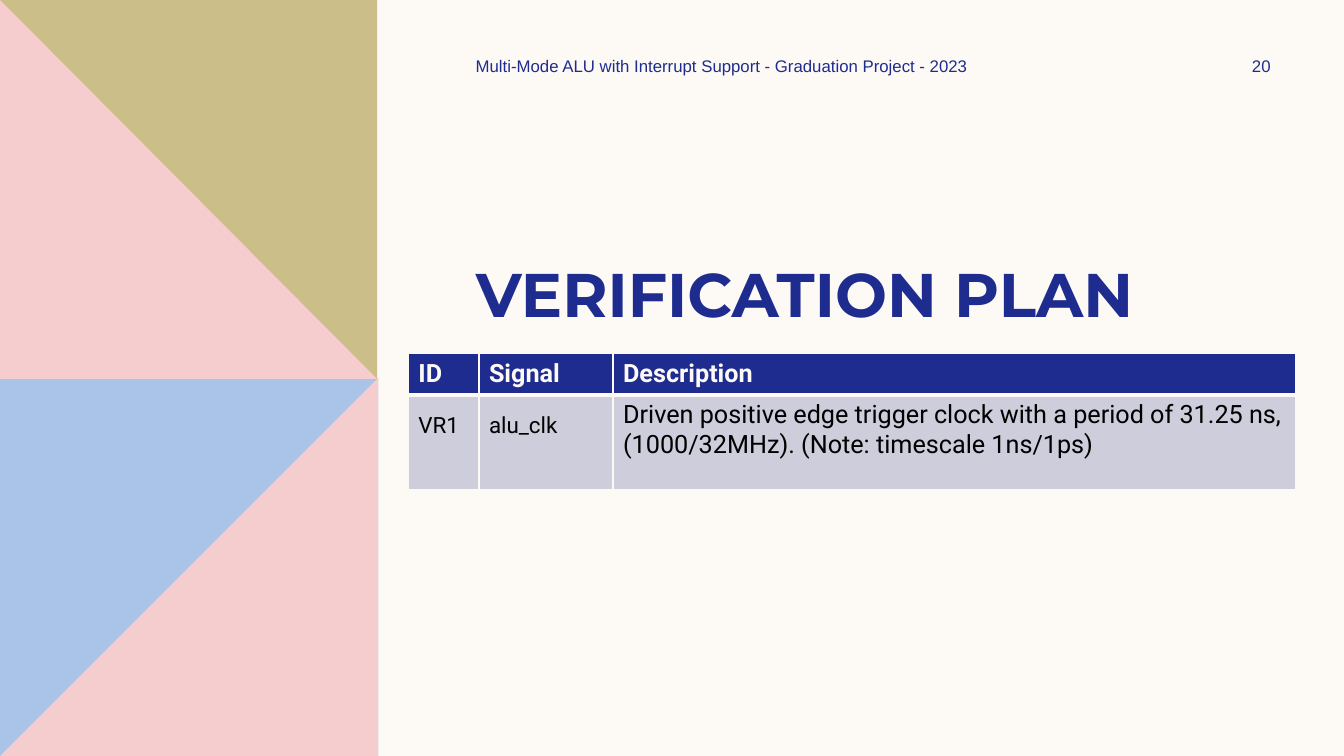
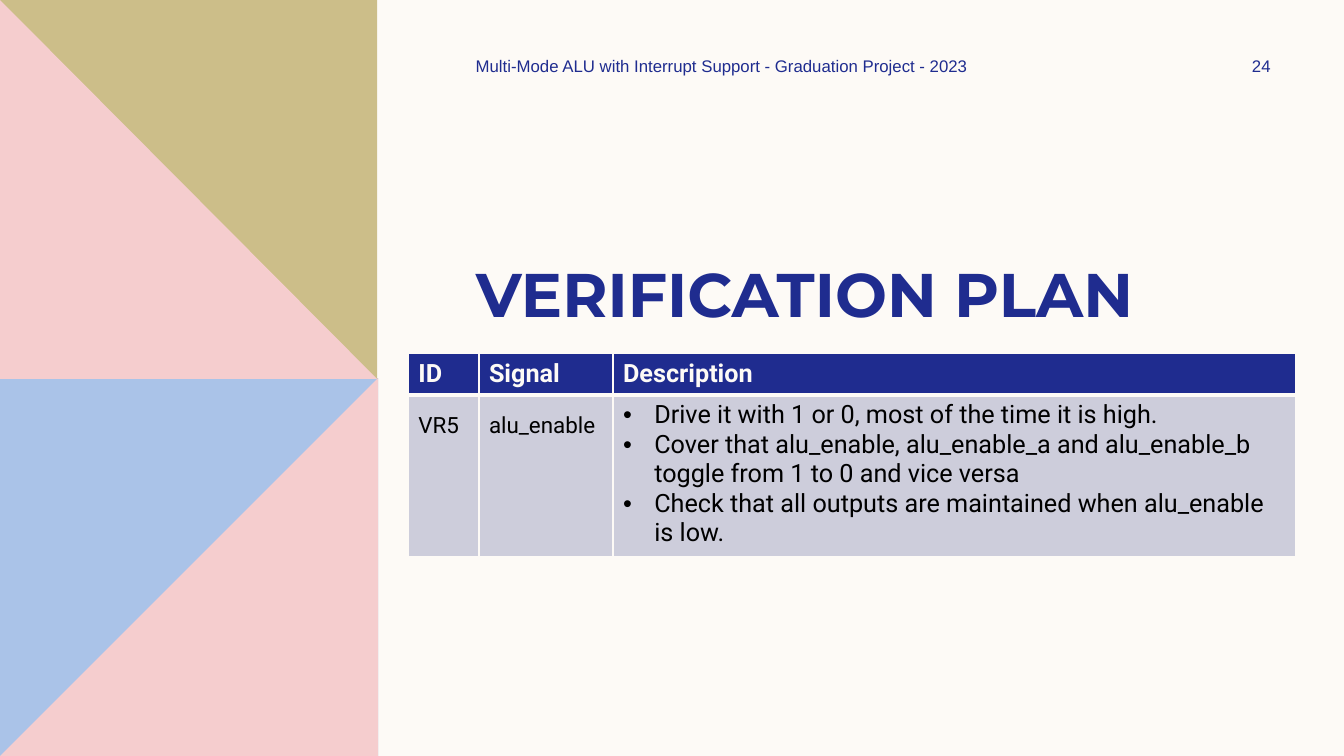
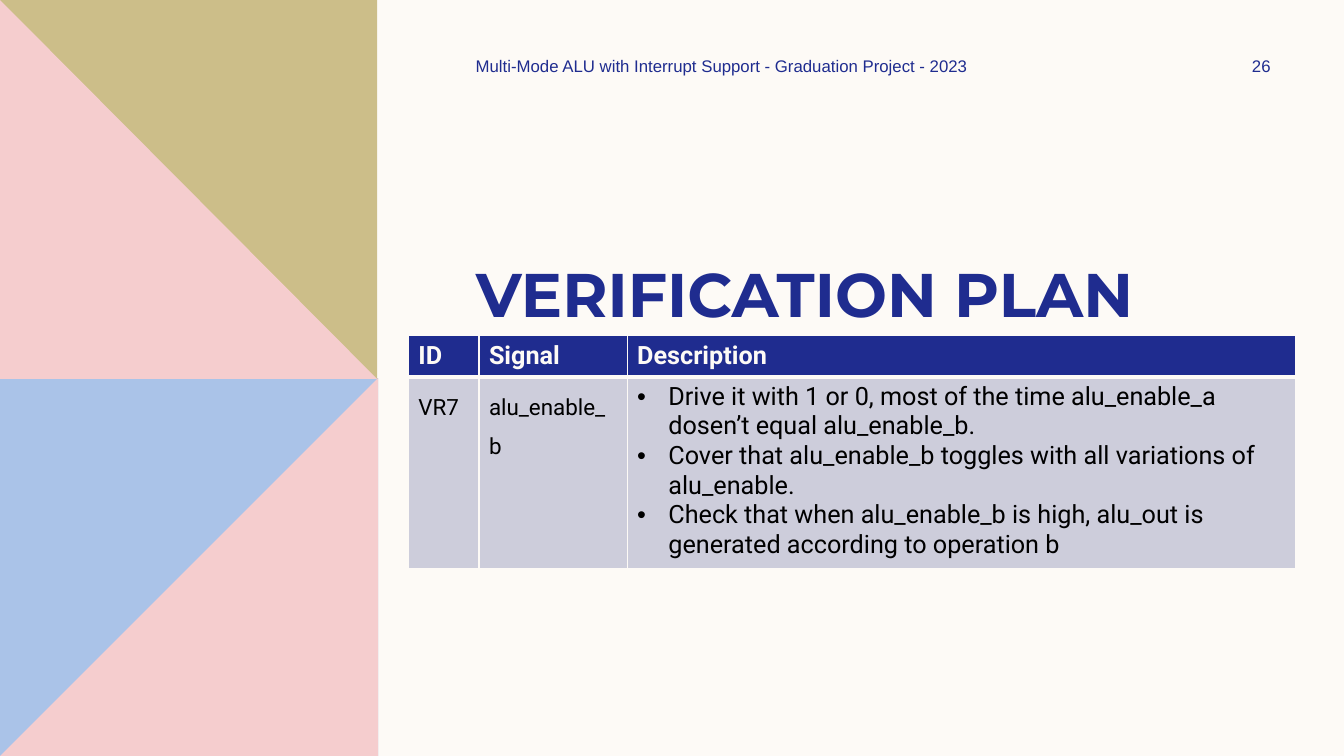
from lxml import etree
from pptx import Presentation
from pptx import util as u
from pptx.dml.color import RGBColor
from pptx.enum import shapes, text
from pptx.oxml.ns import qn

COLORS = {
    "paper": "FDFAF6",
    "navy": "1F2C8F",
    "blue": "AAC3E8",
    "pink": "F5CDCE",
    "olive": "CCBE89",
    "cell": "CDCDDB",
    "ink": "000000",
}
STYLES = {
    "title": {"name": "Montserrat", "size": u.Pt(44), "bold": True, "color": "navy"},
    "footer": {"name": "Arial", "size": u.Pt(12), "bold": False, "color": "navy"},
    "header": {"name": "Roboto", "size": u.Pt(18), "bold": True, "color": "paper"},
    "label": {"name": "Roboto", "size": u.Pt(16), "bold": False, "color": "ink"},
    "body": {"name": "Roboto", "size": u.Pt(18), "bold": False, "color": "ink"},
}
FOOTER = "Multi-Mode ALU with Interrupt Support - Graduation Project - 2023"
HEADERS = ["ID", "Signal", "Description"]
TABLE_WIDTH = 8.8
ID_WIDTH = 0.7
HEADER_HEIGHT = 0.41


class Deck:
    def __init__(self):
        self.prs = Presentation()
        self.prs.slide_width = u.Inches(13.33)
        self.prs.slide_height = u.Inches(7.5)
        self.fill(self.prs.slide_master.background, "paper")
        self.s = None

    def fill(self, target, color):
        target.fill.solid()
        target.fill.fore_color.rgb = RGBColor.from_string(COLORS[color])

    def add_text(self, p, words, style):
        r = p.add_run()
        r.text = words
        for key, value in STYLES[style].items():
            if key == "color":
                r.font.color.rgb = RGBColor.from_string(COLORS[value])
            else:
                setattr(r.font, key, value)

    def finish(self, sp, color):
        self.fill(sp, color)
        sp.line.fill.background()
        sp.shadow.inherit = False

    def rectangle(self, box, color):
        sp = self.s.shapes.add_shape(shapes.MSO_SHAPE.RECTANGLE, *map(u.Inches, box))
        self.finish(sp, color)

    def triangle(self, points, color):
        start, *rest = [(u.Inches(x), u.Inches(y)) for x, y in points]
        builder = self.s.shapes.build_freeform(*start)
        builder.add_line_segments(rest, close=True)
        self.finish(builder.convert_to_shape(), color)

    def textbox(self, box, words, align):
        tf = self.s.shapes.add_textbox(*map(u.Inches, box)).text_frame
        tf.word_wrap = True
        tf.vertical_anchor = text.MSO_ANCHOR.MIDDLE
        p = tf.paragraphs[0]
        p.alignment = align
        self.add_text(p, words, "footer")

    def title(self, words):
        sp = self.s.shapes.title
        sp.left, sp.top, sp.width, sp.height = map(u.Inches, (4.62, 2.49, 8.81, 0.84))
        tf = sp.text_frame
        tf.auto_size = text.MSO_AUTO_SIZE.NONE
        tf.vertical_anchor = text.MSO_ANCHOR.MIDDLE
        p = tf.paragraphs[0]
        p.alignment = text.PP_ALIGN.LEFT
        self.add_text(p, words, "title")

    def slide(self, number):
        self.s = self.prs.slides.add_slide(self.prs.slide_layouts[5])
        self.rectangle((0, 3.75, 3.75, 3.75), "blue")
        self.triangle([(3.75, 3.75), (3.75, 7.5), (0, 7.5)], "pink")
        self.rectangle((0, 0, 3.74, 3.76), "olive")
        self.triangle([(0, 0), (3.74, 3.76), (0, 3.76)], "pink")
        self.title("VERIFICATION PLAN")
        self.textbox((4.62, 0.5, 6, 0.3), FOOTER, text.PP_ALIGN.LEFT)
        self.textbox((11.97, 0.5, 1.08, 0.3), str(number), text.PP_ALIGN.CENTER)

    def borders(self, cell, widths):
        tcPr = cell._tc.get_or_add_tcPr()
        for side, width in widths.items():
            ln = etree.SubElement(tcPr, qn("a:ln" + side), w=str(u.Pt(width)))
            solid = etree.SubElement(ln, qn("a:solidFill"))
            etree.SubElement(solid, qn("a:srgbClr"), val=COLORS["paper"])

    def bullet(self, p):
        pPr = p._p.get_or_add_pPr()
        pPr.set("marL", str(u.Inches(0.31)))
        pPr.set("indent", str(u.Inches(-0.31)))
        etree.SubElement(pPr, qn("a:buFont"), typeface="Arial")
        etree.SubElement(pPr, qn("a:buChar"), char="•")

    def cell(self, cell, lines, style, color, widths, spacing=None):
        self.borders(cell, widths)
        self.fill(cell, color)
        tf = cell.text_frame
        for i, line in enumerate(lines):
            p = tf.add_paragraph() if i else tf.paragraphs[0]
            if spacing:
                p.line_spacing = spacing
            if len(lines) > 1:
                self.bullet(p)
            self.add_text(p, line, style)

    def table(self, top, signal_width, body_height, name, signal, lines):
        heights = [HEADER_HEIGHT, body_height]
        box = (4.05, top, TABLE_WIDTH, sum(heights))
        table = self.s.shapes.add_table(2, 3, *map(u.Inches, box)).table
        widths = [ID_WIDTH, signal_width, TABLE_WIDTH - ID_WIDTH - signal_width]
        for column, width in zip(table.columns, widths):
            column.width = u.Inches(width)
        for row, height in zip(table.rows, heights):
            row.height = u.Inches(height)
        for i, header in enumerate(HEADERS):
            self.cell(table.cell(0, i), [header], "header", "navy",
                      {"L": 1, "R": 1, "T": 1, "B": 3})
        body = [([name], "label", 1.5), ([signal], "label", 1.5), (lines, "body", None)]
        for i, (words, style, spacing) in enumerate(body):
            self.cell(table.cell(1, i), words, style, "cell",
                      {"L": 1, "R": 1, "B": 1}, spacing)


PLANS = [
    (20, 3.51, 1.33, 0.94, "VR1", "alu_clk", [
        "Driven positive edge trigger clock with a period of 31.25 ns, "
        "(1000/32MHz). (Note: timescale 1ns/1ps)",
    ]),
    (24, 3.51, 1.33, 1.56, "VR5", "alu_enable", [
        "Drive it with 1 or 0, most of the time it is high.",
        "Cover that alu_enable, alu_enable_a and alu_enable_b toggle from 1 to 0 and vice versa",
        "Check that all outputs are maintained when alu_enable is low.",
    ]),
    (26, 3.33, 1.47, 1.84, "VR7", "alu_enable_b", [
        "Drive it with 1 or 0, most of the time alu_enable_a dosen’t equal alu_enable_b.",
        "Cover that alu_enable_b toggles with all variations of alu_enable.",
        "Check that when alu_enable_b is high, alu_out is generated according to operation b",
    ]),
]


def main():
    deck = Deck()
    for number, *plan in PLANS:
        deck.slide(number)
        deck.table(*plan)
    deck.prs.save("out.pptx")


if __name__ == "__main__":
    main()
